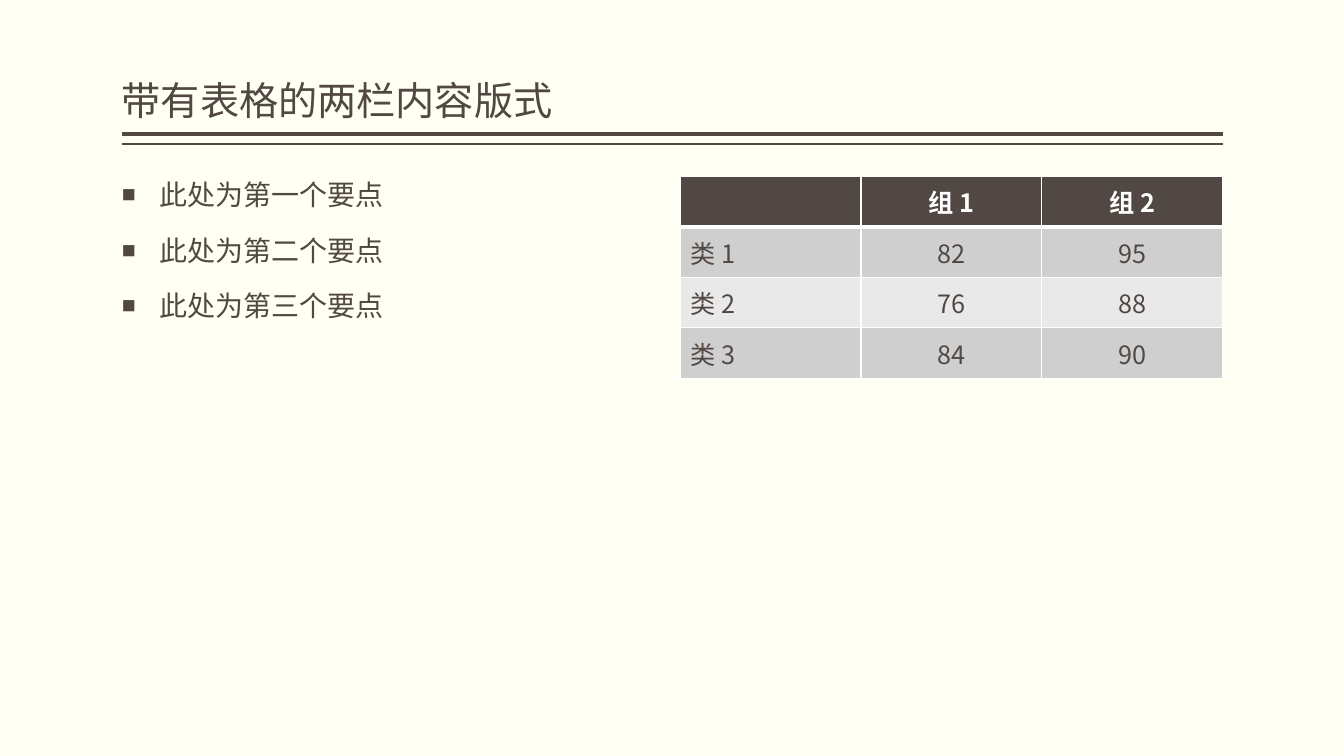
from lxml import etree
from pptx import Presentation
from pptx.dml.color import RGBColor
from pptx.enum.shapes import MSO_CONNECTOR
from pptx.enum.text import MSO_ANCHOR, PP_ALIGN
from pptx.oxml.ns import qn
from pptx.util import Cm, Pt

TITLE = "带有表格的两栏内容版式"
POINTS = ["此处为第一个要点", "此处为第二个要点", "此处为第三个要点"]
ROWS = [
    ["", "组 1", "组 2"],
    ["类 1", "82", "95"],
    ["类 2", "76", "88"],
    ["类 3", "84", "90"],
]
RULES = [(3.38, 3), (3.63, 1)]  # height in cm, width in points

FONT = "Noto Sans CJK SC"
CREAM = RGBColor(0xFF, 0xFF, 0xF3)
BROWN = RGBColor(0x51, 0x48, 0x43)
WHITE = RGBColor(0xFF, 0xFF, 0xFF)
BANDS = [RGBColor(0xE9, 0xE9, 0xE9), RGBColor(0xD0, 0xCF, 0xCF)]

STRAIGHT = MSO_CONNECTOR.STRAIGHT
MIDDLE, BOTTOM = MSO_ANCHOR.MIDDLE, MSO_ANCHOR.BOTTOM
LEFT, CENTER = PP_ALIGN.LEFT, PP_ALIGN.CENTER

EDGE, WIDE = 3.07, 27.74
TOP, COL = 4.45, 13.67
ROW = 1.27
INDENT = Cm(0.95)


def style(para, size, color, bold=False):
    for run in para.runs:
        font = run.font
        font.name, font.size, font.bold = FONT, Pt(size), bold
        font.color.rgb = color
        etree.SubElement(font._element, qn("a:ea"), typeface=FONT)


def add_text(slide, box, lines, size):
    frame = slide.shapes.add_textbox(*map(Cm, box)).text_frame
    frame.word_wrap = True
    frame.margin_left = frame.margin_right = 0
    frame.text = "\n".join(lines)
    for para in frame.paragraphs:
        para.line_spacing = 0.9
        style(para, size, BROWN)
    return frame


def add_bullet(para):
    props = para._p.get_or_add_pPr()
    props.set("marL", str(INDENT))
    props.set("indent", str(-INDENT))
    etree.SubElement(props, qn("a:buSzPct"), val="50000")
    etree.SubElement(props, qn("a:buFont"), typeface=FONT)
    etree.SubElement(props, qn("a:buChar"), char="■")


def add_borders(cell, widths):
    """Draw white cell borders; widths are points for left, right, top, bottom."""
    props = cell._tc.get_or_add_tcPr()
    for side, width in zip("LRTB", widths):
        line = etree.SubElement(props, qn(f"a:ln{side}"), w=str(Pt(width)))
        fill = etree.SubElement(line, qn("a:solidFill"))
        etree.SubElement(fill, qn("a:srgbClr"), val=str(WHITE))


def add_grid(slide):
    left = EDGE + WIDE - COL
    box = (left, TOP, COL, ROW * len(ROWS))
    table = slide.shapes.add_table(
        len(ROWS), len(ROWS[0]), *map(Cm, box)).table
    for r, row in enumerate(ROWS):
        head = r == 0
        for c, text in enumerate(row):
            cell = table.cell(r, c)
            add_borders(cell, (1, 1, 3 if r == 1 else 1, 3 if head else 1))
            cell.fill.solid()
            cell.fill.fore_color.rgb = BROWN if head else BANDS[r % 2]
            cell.vertical_anchor = MIDDLE
            cell.text_frame.text = text
            para = cell.text_frame.paragraphs[0]
            para.alignment = CENTER if c else LEFT
            style(para, 18, WHITE if head else BROWN, head)


def main():
    deck = Presentation()
    deck.slide_width, deck.slide_height = Cm(33.87), Cm(19.05)
    slide = deck.slides.add_slide(deck.slide_layouts[6])
    slide.background.fill.solid()
    slide.background.fill.fore_color.rgb = CREAM

    for y, width in RULES:
        rule = slide.shapes.add_connector(
            STRAIGHT, Cm(EDGE), Cm(y), Cm(EDGE + WIDE), Cm(y))
        rule.line.color.rgb = BROWN
        rule.line.width = Pt(width)
        etree.SubElement(rule._element.spPr, qn("a:effectLst"))

    title = add_text(slide, (EDGE, 0.2, WIDE, 3.05), [TITLE], 28)
    title.vertical_anchor = BOTTOM

    body = add_text(slide, (EDGE, TOP, COL, 12.7), POINTS, 20)
    for para in body.paragraphs:
        para.space_before = Pt(18)
        add_bullet(para)

    add_grid(slide)
    deck.save("out.pptx")


if __name__ == "__main__":
    main()
